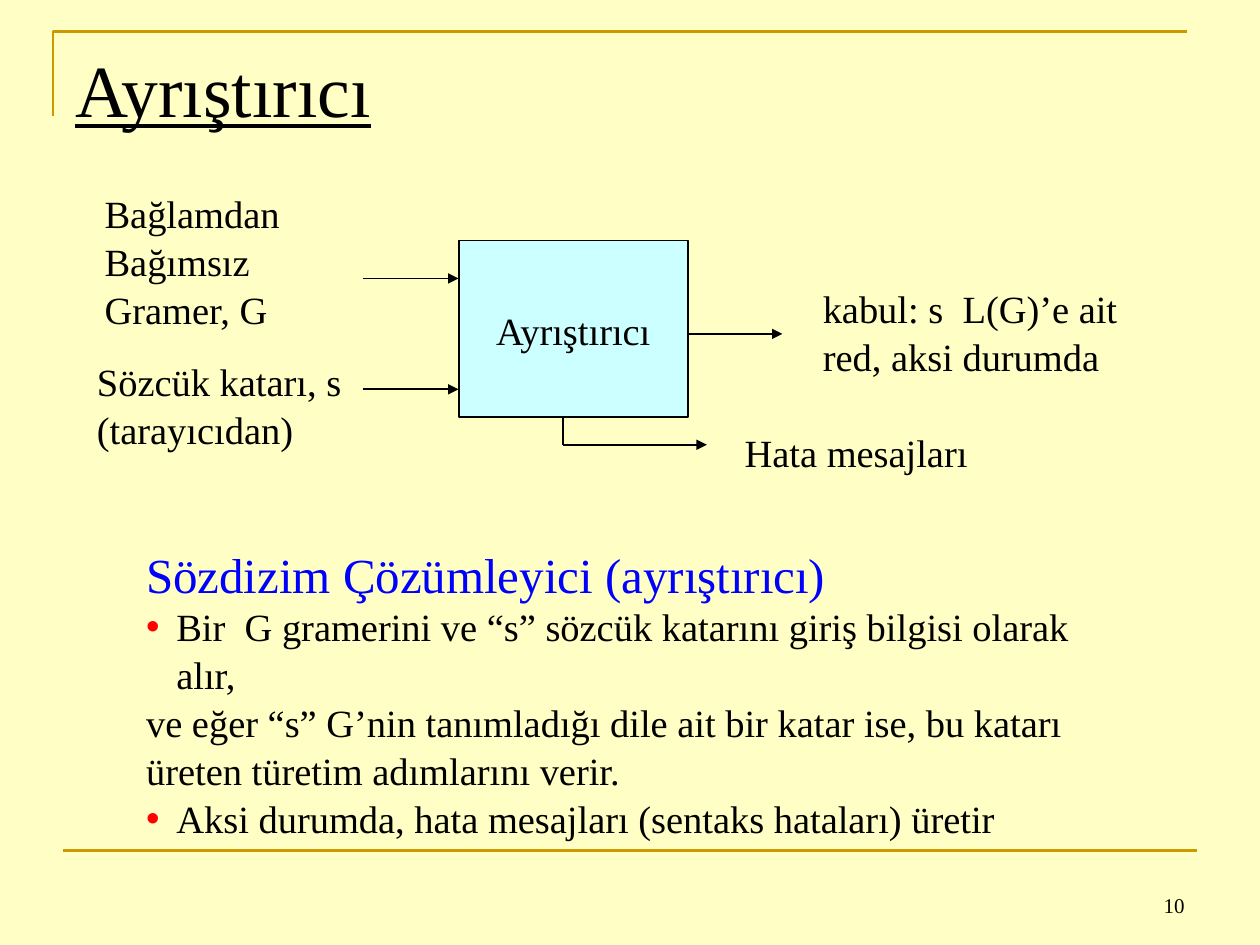
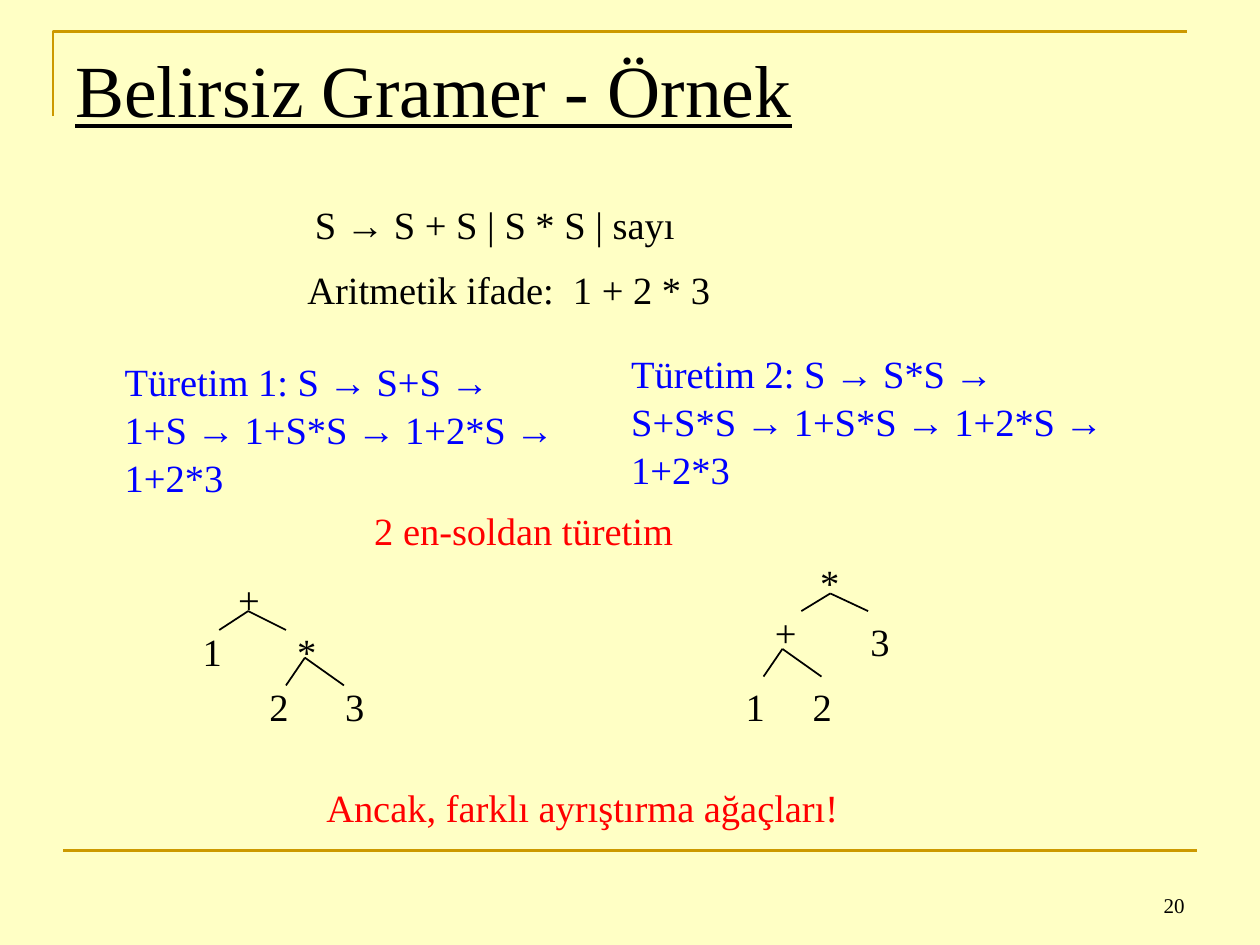
import dataclasses
import itertools

import lxml.etree
import pptx
import pptx.dml.color
import pptx.enum.shapes
import pptx.enum.text
import pptx.oxml.ns
import pptx.util

ALIGN = pptx.enum.text.PP_ALIGN
ANCHOR = pptx.enum.text.MSO_ANCHOR
ARROW = "→"


@dataclasses.dataclass(frozen=True)
class Theme:
    paper: str = "FFFFC5"
    ink: str = "000000"
    rule: str = "CC9900"
    box: str = "CCFFFF"
    blue: str = "0000FF"
    red: str = "FF0000"
    font: str = "Times New Roman"
    arrow_font: str = "Arial"
    title: int = 42
    heading: int = 28
    body: int = 22
    number: int = 12
    rule_width: float = 1.5
    line_width: float = 1
    spacing: float = 1.04
    bullet_indent: float = 0.24


def rgb(value):
    return pptx.dml.color.RGBColor.from_string(value)


def add_xml(parent, tag, **attributes):
    return lxml.etree.SubElement(parent, pptx.oxml.ns.qn(tag), **attributes)


class Deck:
    COLUMNS, ROWS = 100, 75

    def __init__(self, theme):
        self.theme = theme
        self.deck = pptx.Presentation()
        self.deck.slide_width = pptx.util.Inches(10)
        self.deck.slide_height = pptx.util.Inches(7.5)
        self.slide = None

    def grid(self, column, row):
        return (round(self.deck.slide_width * column / self.COLUMNS),
                round(self.deck.slide_height * row / self.ROWS))

    def new_slide(self, title, number):
        theme = self.theme
        self.slide = self.deck.slides.add_slide(self.deck.slide_layouts[6])
        fill = self.slide.background.fill
        fill.solid()
        fill.fore_color.rgb = rgb(theme.paper)
        self.corner((4.2, 9.2), (4.2, 2.5), (94.2, 2.5))
        self.line((5, 67.5), (95, 67.5), theme.rule, theme.rule_width)
        self.text((5, 3, 90, 12.5), [title], size=theme.title,
                  underline=True, inset=(0.1, 0.05), spacing=1)
        self.text((71.7, 68.3, 23.3, 5), [number], size=theme.number,
                  align=ALIGN.RIGHT, anchor=ANCHOR.BOTTOM,
                  inset=(0.1, 0.05), spacing=1)

    def corner(self, start, *others):
        builder = self.slide.shapes.build_freeform(*self.grid(*start))
        builder.add_line_segments([self.grid(*point) for point in others], close=False)
        outline = builder.convert_to_shape()
        outline.shadow.inherit = False
        outline.fill.background()
        outline.line.color.rgb = rgb(self.theme.rule)
        outline.line.width = pptx.util.Pt(self.theme.rule_width)

    def line(self, start, end, color=None, width=None, arrow=False):
        connector = self.slide.shapes.add_connector(
            pptx.enum.shapes.MSO_CONNECTOR.STRAIGHT, *self.grid(*start), *self.grid(*end))
        connector.line.color.rgb = rgb(color or self.theme.ink)
        connector.line.width = pptx.util.Pt(width or self.theme.line_width)
        properties = connector._element.spPr
        if arrow:
            add_xml(properties.get_or_add_ln(), "a:tailEnd", type="triangle")
        add_xml(properties, "a:effectLst")

    def text(self, area, lines, **style):
        left, top, width, height = area
        box = self.slide.shapes.add_textbox(*self.grid(left, top), *self.grid(width, height))
        self.set_lines(box.text_frame, lines, **style)

    def block(self, area, label):
        left, top, width, height = area
        block = self.slide.shapes.add_shape(
            pptx.enum.shapes.MSO_SHAPE.RECTANGLE,
            *self.grid(left, top), *self.grid(width, height))
        block.shadow.inherit = False
        block.fill.solid()
        block.fill.fore_color.rgb = rgb(self.theme.box)
        block.line.color.rgb = rgb(self.theme.ink)
        block.line.width = pptx.util.Pt(self.theme.line_width)
        self.set_lines(block.text_frame, [label], align=ALIGN.CENTER, anchor=ANCHOR.MIDDLE)

    def set_lines(self, frame, lines, size=None, color=None, align=ALIGN.LEFT,
                  anchor=ANCHOR.TOP, inset=(0.09, 0.04), underline=None,
                  spacing=None, bullets=()):
        theme = self.theme
        frame.word_wrap = True
        frame.vertical_anchor = anchor
        frame.margin_left = frame.margin_right = pptx.util.Inches(inset[0])
        frame.margin_top = frame.margin_bottom = pptx.util.Inches(inset[1])
        for index, line in enumerate(lines):
            paragraph = frame.paragraphs[0] if index == 0 else frame.add_paragraph()
            paragraph.alignment = align
            paragraph.line_spacing = spacing or theme.spacing
            if index in bullets:
                self.bullet(paragraph)
            for is_arrow, letters in itertools.groupby(line, lambda letter: letter == ARROW):
                run = paragraph.add_run()
                run.text = "".join(letters)
                run.font.name = theme.arrow_font if is_arrow else theme.font
                run.font.size = pptx.util.Pt(size or theme.body)
                run.font.color.rgb = rgb(color or theme.ink)
                run.font.underline = underline

    def bullet(self, paragraph):
        indent = pptx.util.Inches(self.theme.bullet_indent)
        properties = paragraph._p.get_or_add_pPr()
        properties.set("marL", str(indent))
        properties.set("indent", str(-indent))
        add_xml(add_xml(properties, "a:buClr"), "a:srgbClr", val=self.theme.red)
        add_xml(properties, "a:buFont", typeface=self.theme.arrow_font)
        add_xml(properties, "a:buChar", char="•")

    def tree(self, nodes, forks):
        for symbol, center, top in nodes:
            self.text((center - 2, top, 4, 4.6), [symbol], align=ALIGN.CENTER)
        for (column, row), reaches, drop in forks:
            for reach in reaches:
                self.line((column, row), (column + reach, row + drop))


def parser_slide(deck):
    theme = deck.theme
    deck.new_slide("Ayrıştırıcı", "10")
    deck.block((36.4, 19.1, 18.2, 14), "Ayrıştırıcı")
    deck.text((7.4, 14.5, 21.5, 11.9), ["Bağlamdan", "Bağımsız Gramer, G"])
    deck.text((6.8, 27.9, 22, 8.2), ["Sözcük katarı, s", "(tarayıcıdan)"])
    deck.text((64.4, 22.1, 27, 8.2), ["kabul: s  L(G)’e ait", "red, aksi durumda"])
    deck.text((58.2, 33.5, 21, 4.6), ["Hata mesajları"])
    for input_row in (22.1, 30.9):
        deck.line((28.8, input_row), (36.4, input_row), arrow=True)
    deck.line((54.6, 26.5), (62.1, 26.5), arrow=True)
    deck.line((44.7, 33.1), (44.7, 35.3))
    deck.line((44.7, 35.3), (56.1, 35.3), arrow=True)
    deck.text((10.7, 42.6, 80, 5), ["Sözdizim Çözümleyici (ayrıştırıcı)"],
              size=theme.heading, color=theme.blue)
    deck.text((10.7, 47.3, 80, 19.2), [
        "Bir  G gramerini ve “s” sözcük katarını giriş bilgisi olarak alır,",
        "ve eğer “s” G’nin tanımladığı dile ait bir katar ise, bu katarı",
        "üreten türetim adımlarını verir.",
        "Aksi durumda, hata mesajları (sentaks hataları) üretir",
    ], bullets=(0, 3))


def ambiguity_slide(deck):
    theme = deck.theme
    deck.new_slide("Belirsiz Gramer - Örnek", "20")
    deck.text((24.1, 15.4, 35, 4.6), ["S → S + S | S * S | sayı"])
    deck.text((23.5, 20.6, 36, 4.6), ["Aritmetik ifade:  1 + 2 * 3"])
    deck.text((9, 27.9, 38, 11.9), [
        "Türetim 1: S → S+S →",
        "1+S → 1+S*S → 1+2*S →",
        "1+2*3",
    ], color=theme.blue)
    deck.text((49.2, 27.2, 42, 11.9), [
        "Türetim 2: S → S*S →",
        "S+S*S → 1+S*S → 1+2*S →",
        "1+2*3",
    ], color=theme.blue)
    deck.text((28.8, 39.7, 28, 4.6), ["2 en-soldan türetim"], color=theme.red)

    root_reach, child_reach = (-2.3, 3), (-1.5, 3.1)
    deck.tree(
        [("+", 19.75, 45.2), ("1", 16.85, 49.3), ("*", 24.35, 49.3),
         ("2", 22.15, 53.7), ("3", 28.15, 53.7)],
        [((19.7, 48.5), root_reach, 1.5), ((24.2, 52.2), child_reach, 2.2)])
    deck.tree(
        [("*", 65.85, 43.8), ("+", 62.35, 47.8), ("3", 69.85, 48.5),
         ("1", 59.95, 53.7), ("2", 65.25, 53.7)],
        [((65.9, 47.1), root_reach, 1.4), ((62.1, 51.5), child_reach, 2.2)])
    deck.text((25, 61.7, 45, 4.6), ["Ancak, farklı ayrıştırma ağaçları!"], color=theme.red)


def main():
    deck = Deck(Theme())
    parser_slide(deck)
    ambiguity_slide(deck)
    deck.deck.save("out.pptx")


if __name__ == "__main__":
    main()
